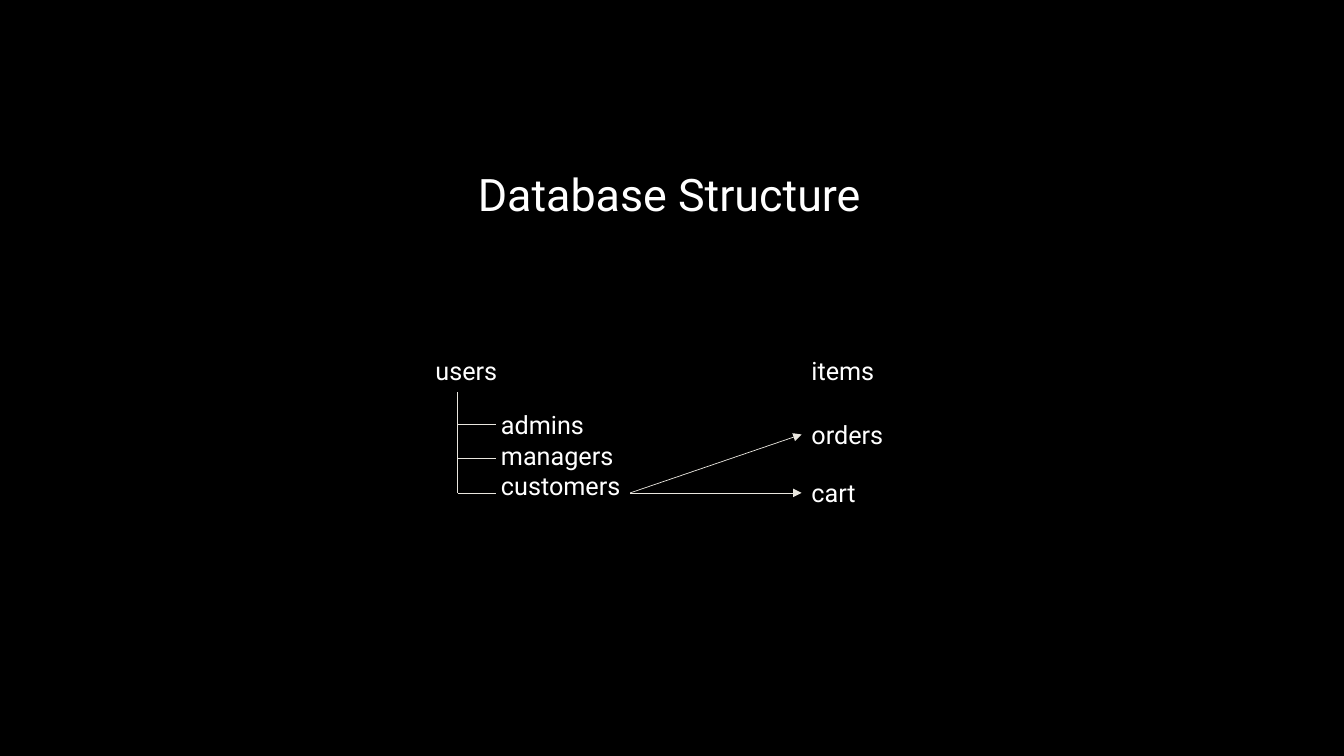
from pptx import Presentation, util as u
from pptx.dml.color import RGBColor
from pptx.enum import shapes, text
from pptx.oxml.ns import qn
from lxml import etree

WIDTH, HEIGHT = 13.33, 7.5
FONT = "Roboto"
BLACK, WHITE, CREAM = "000000", "FFFFFF", "E9E6DF"
LABEL_HEIGHT = 0.4


def color(value):
    return RGBColor.from_string(value)


def add_text(page, content, left, top, width, height=LABEL_HEIGHT, size=18):
    box = page.shapes.add_textbox(*map(u.Inches, (left, top, width, height)))
    frame = box.text_frame
    frame.word_wrap = True
    frame.auto_size = text.MSO_AUTO_SIZE.SHAPE_TO_FIT_TEXT
    span = frame.paragraphs[0].add_run()
    span.text = content
    span.font.name = FONT
    span.font.size = u.Pt(size)
    span.font.color.rgb = color(WHITE)


def add_line(page, start, end, arrow=False):
    line = page.shapes.add_connector(
        shapes.MSO_CONNECTOR.STRAIGHT, *map(u.Inches, (*start, *end)))
    line.line.color.rgb = color(CREAM)
    line.line.width = u.Pt(0.5)
    if arrow:
        etree.SubElement(line.line._ln, qn("a:tailEnd"), type="triangle")
    etree.SubElement(line._element.spPr, qn("a:effectLst"))


def add_user_tree(page, left, top, roles):
    """Root label with one branch of the trunk per role."""
    add_text(page, "users", left, top, 0.98)
    trunk, joint = left + 0.32, top + 0.41
    first_branch, branch_step = top + 0.73, 0.34
    first_label, label_step = top + 0.53, 0.305
    for row, role in enumerate(roles):
        branch = first_branch + row * branch_step
        add_line(page, (trunk, joint), (trunk, branch))
        add_line(page, (trunk, branch), (trunk + 0.38, branch))
        add_text(page, role, left + 0.65, first_label + row * label_step, 2.22)
        joint = branch


def add_collections(page, left, top, source):
    """Column of collections; the customer's own ones get an arrow."""
    width = 1.77
    add_text(page, "items", left, top, width)
    for name, offset in (("orders", 0.63), ("cart", 1.21)):
        label_top = top + offset
        add_text(page, name, left, label_top, width)
        target = label_top + LABEL_HEIGHT / 2
        add_line(page, source, (left, round(target, 2)), arrow=True)


def build_structure_slide(deck):
    page = deck.slides.add_slide(deck.slide_layouts[6])
    page.background.fill.solid()
    page.background.fill.fore_color.rgb = color(BLACK)

    # Title
    add_text(page, "Database Structure", 4.64, 1.61, 5.15, 0.64, size=32)

    # Diagram
    diagram_top = 3.48
    add_user_tree(page, 4.22, diagram_top, ("admins", "managers", "customers"))
    add_collections(page, 7.95, diagram_top, source=(6.25, diagram_top + 1.41))


def main():
    deck = Presentation()
    deck.slide_width, deck.slide_height = u.Inches(WIDTH), u.Inches(HEIGHT)
    build_structure_slide(deck)
    deck.save("out.pptx")


if __name__ == "__main__":
    main()
